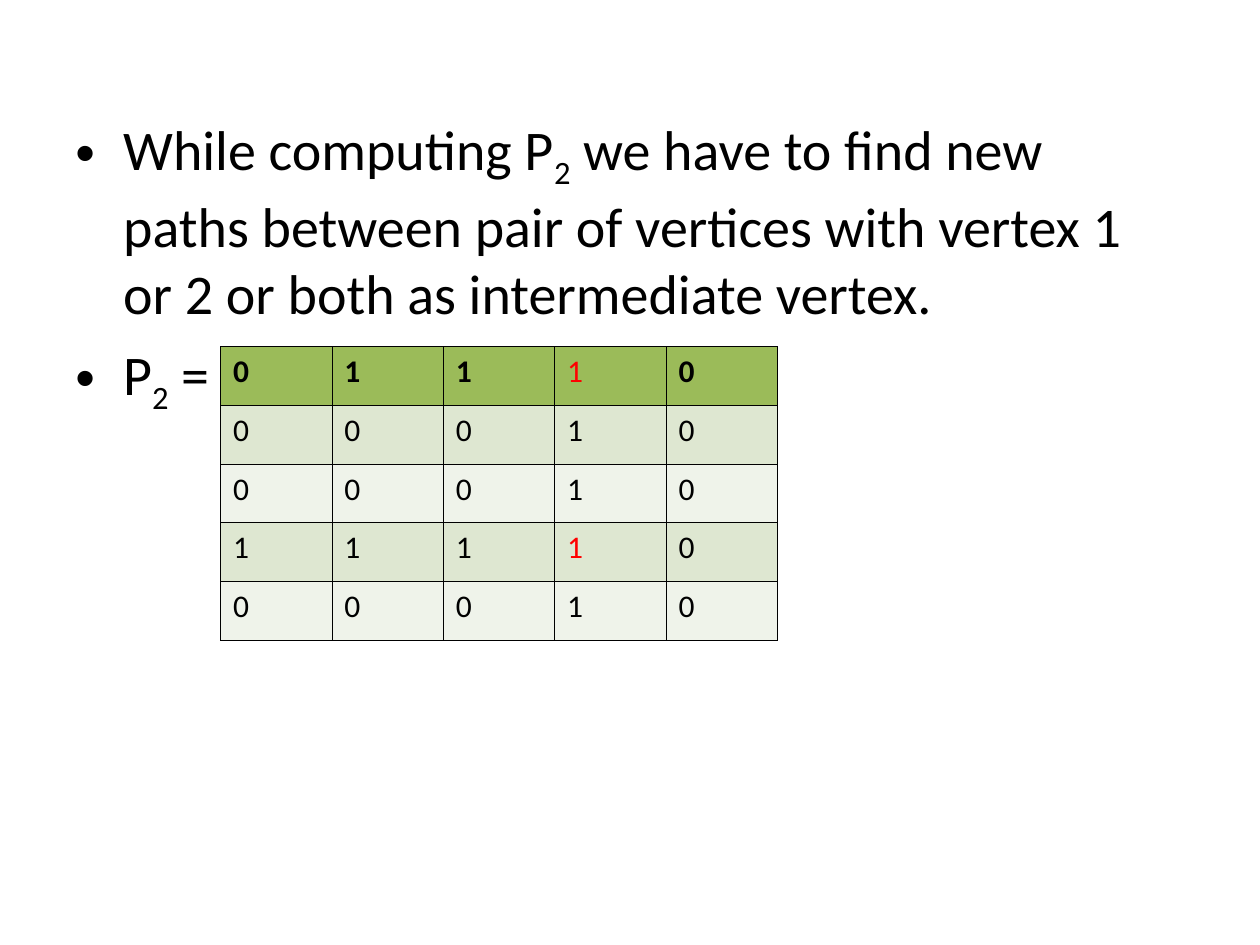
from lxml import etree
from pptx import Presentation
from pptx.dml.color import RGBColor
from pptx.oxml.ns import qn
from pptx.util import Inches, Pt

BLACK = RGBColor(0x00, 0x00, 0x00)
RED = RGBColor(0xFF, 0x00, 0x00)
HEADER = RGBColor(0x9B, 0xBB, 0x59)
BANDS = [RGBColor(0xEF, 0xF3, 0xEA), RGBColor(0xDE, 0xE7, 0xD1)]
FONT = "Calibri"

# Each bullet holds the text before its subscript, the subscript and the rest
BULLETS = [
    ("While computing P", "2", " we have to find new paths between pair of "
     "vertices with vertex 1 or 2 or both as intermediate vertex."),
    ("P", "2", " ="),
]
MATRIX = ["01110", "00010", "00010", "11110", "00010"]
NEW_PATHS = {(0, 3), (3, 3)}


def style_font(font, size, color=BLACK, bold=False):
    font.name, font.size, font.bold = FONT, Pt(size), bold
    font.color.rgb = color


def make_bullet(p):
    pPr = p._p.get_or_add_pPr()
    pPr.set("marL", str(Inches(0.38)))
    pPr.set("indent", str(-Inches(0.38)))
    etree.SubElement(pPr, qn("a:buFont"), typeface="Arial")
    etree.SubElement(pPr, qn("a:buChar"), char="•")


def add_bullets(s, bullets):
    tf = s.shapes.add_textbox(Inches(0.5), Inches(0.83),
                              Inches(8.86), Inches(5.74)).text_frame
    tf.word_wrap = True
    tf.margin_top = Inches(0.08)
    for i, parts in enumerate(bullets):
        p = tf.paragraphs[0] if i == 0 else tf.add_paragraph()
        make_bullet(p)
        if i:
            p.space_before = Pt(8)
        for part in parts:
            r = p.add_run()
            r.text = part
            style_font(r.font, 32)
        p.runs[1].font._element.set("baseline", "-25000")


def add_borders(cell):
    tcPr = cell._tc.get_or_add_tcPr()
    for i, side in enumerate(("lnL", "lnR", "lnT", "lnB")):
        ln = etree.Element(qn(f"a:{side}"), w=str(Pt(0.45)))
        fill = etree.SubElement(ln, qn("a:solidFill"))
        etree.SubElement(fill, qn("a:srgbClr"), val=str(BLACK))
        tcPr.insert(i, ln)


def add_matrix(s, matrix):
    n = len(matrix)
    table = s.shapes.add_table(n, n, Inches(1.75), Inches(2.75),
                               Inches(4.42), Inches(2.33)).table
    for i, row in enumerate(matrix):
        for j, value in enumerate(row):
            cell = table.cell(i, j)
            cell.text = value
            is_new = (i, j) in NEW_PATHS
            style_font(cell.text_frame.paragraphs[0].runs[0].font, 18,
                       RED if is_new else BLACK, i == 0 and not is_new)
            cell.fill.solid()
            cell.fill.fore_color.rgb = BANDS[i % 2] if i else HEADER
            add_borders(cell)


def main():
    prs = Presentation()
    prs.slide_width, prs.slide_height = Inches(10), Inches(7.5)
    s = prs.slides.add_slide(prs.slide_layouts[6])
    add_bullets(s, BULLETS)
    # Path matrix to the right of "P2 ="
    add_matrix(s, MATRIX)
    prs.save("out.pptx")


if __name__ == "__main__":
    main()
